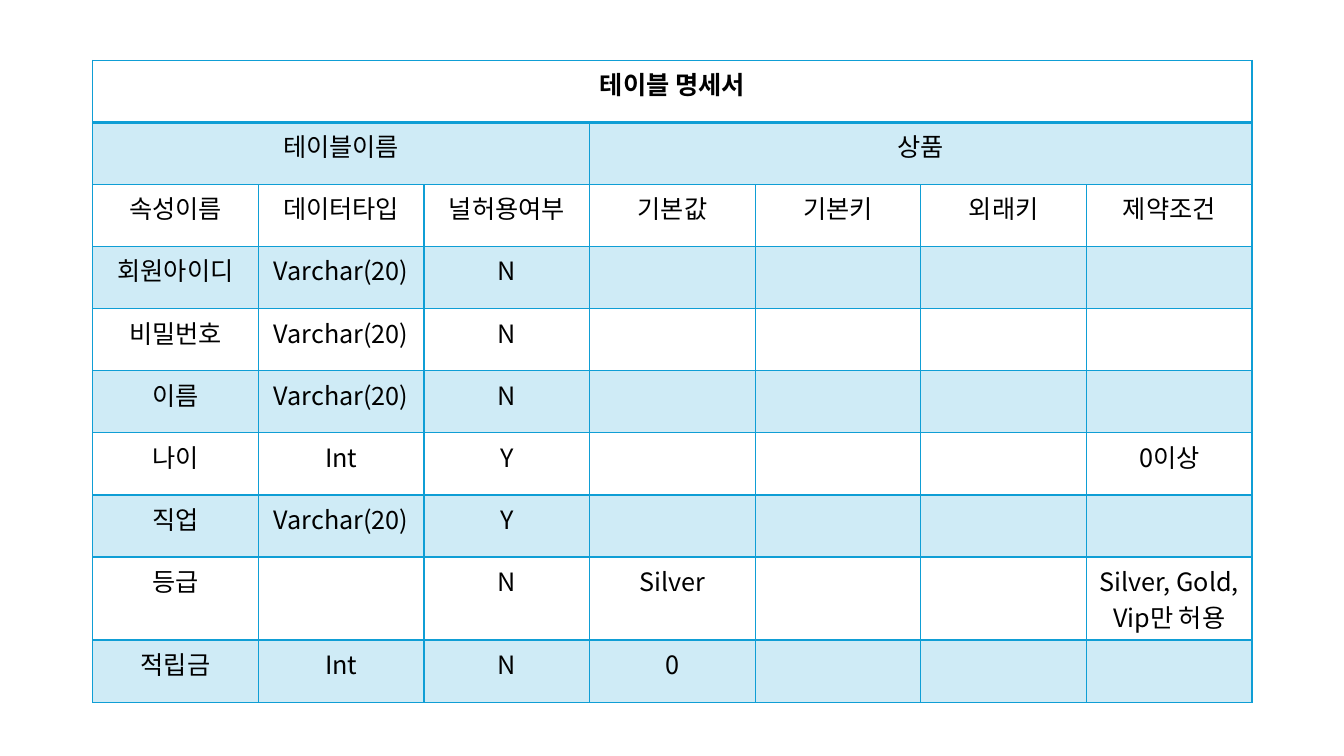
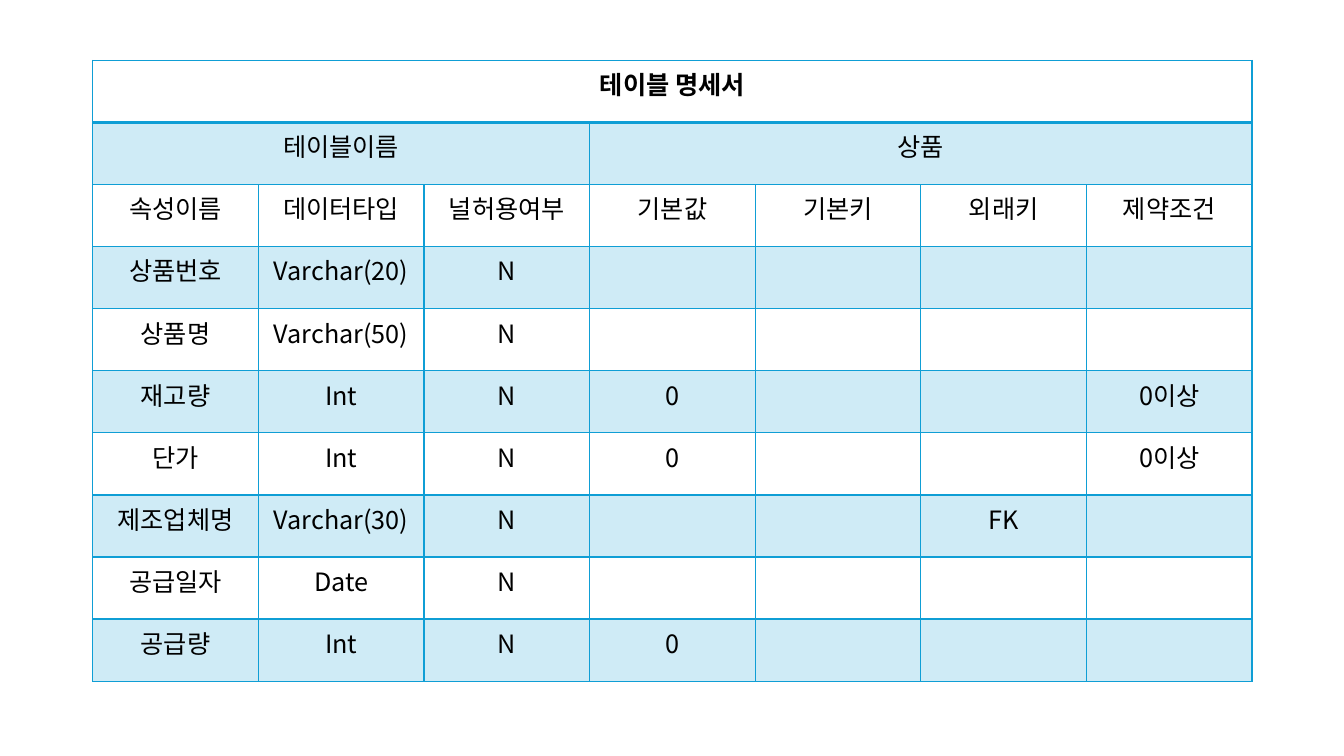
from dataclasses import dataclass

from lxml import etree
from pptx import Presentation
from pptx import util as u
from pptx.dml.color import RGBColor
from pptx.enum import text
from pptx.oxml import ns


@dataclass(frozen=True)
class Theme:
    font: str = "Noto Sans CJK KR"
    size: float = 18
    ink: str = "000000"
    blue: str = "0F9ED5"
    tint: int = 20  # percent opacity of the shaded rows
    thin: float = 1
    thick: float = 2


THEME = Theme()
WIDE, HIGH = u.Inches(13.33), u.Inches(7.5)
BOX = u.Inches(0.92), u.Inches(0.6), u.Inches(11.5), u.Inches(6.16)

TITLE = "테이블 명세서"
LABEL, OWNER = "테이블이름", "상품"
HEADS = ["속성이름", "데이터타입", "널허용여부", "기본값", "기본키", "외래키", "제약조건"]
SPLIT = 3  # columns under the table-name label

# Each row: name, type, null allowed, default, primary key, foreign key, rule
MEMBER = [
    ["회원아이디", "Varchar(20)", "N", "", "", "", ""],
    ["비밀번호", "Varchar(20)", "N", "", "", "", ""],
    ["이름", "Varchar(20)", "N", "", "", "", ""],
    ["나이", "Int", "Y", "", "", "", "0이상"],
    ["직업", "Varchar(20)", "Y", "", "", "", ""],
    ["등급", "", "N", "Silver", "", "", "Silver, Gold, Vip만 허용"],
    ["적립금", "Int", "N", "0", "", "", ""],
]
GOODS = [
    ["상품번호", "Varchar(20)", "N", "", "", "", ""],
    ["상품명", "Varchar(50)", "N", "", "", "", ""],
    ["재고량", "Int", "N", "0", "", "", "0이상"],
    ["단가", "Int", "N", "0", "", "", "0이상"],
    ["제조업체명", "Varchar(30)", "N", "", "", "FK", ""],
    ["공급일자", "Date", "N", "", "", "", ""],
    ["공급량", "Int", "N", "0", "", "", ""],
]


def sub(node, tag, **attrs):
    return etree.SubElement(node, ns.qn(tag), **attrs)


def set_edges(cell, row):
    """Rule all four sides, heavier between the title and the body."""
    props = cell._tc.get_or_add_tcPr()
    heavy = {(0, "B"), (1, "T")}
    for i, side in enumerate("LRTB"):
        width = THEME.thick if (row, side) in heavy else THEME.thin
        line = sub(props, f"a:ln{side}", w=str(u.Pt(width)))
        sub(sub(line, "a:solidFill"), "a:srgbClr", val=THEME.blue)
        props.insert(i, line)


def set_fill(cell, shade):
    if not shade:
        cell.fill.background()
        return
    cell.fill.solid()
    cell.fill.fore_color.rgb = RGBColor.from_string(THEME.blue)
    color = cell._tc.tcPr.find(".//" + ns.qn("a:srgbClr"))
    sub(color, "a:alpha", val=str(THEME.tint * 1000))


def set_text(cell, words, bold):
    cell.text = words
    para = cell.text_frame.paragraphs[0]
    para.alignment = text.PP_ALIGN.CENTER
    font = para.font
    font.name, font.size, font.bold = THEME.font, u.Pt(THEME.size), bold
    font.color.rgb = RGBColor.from_string(THEME.ink)
    # East Asian typeface for the Korean text
    base = para._p.pPr.find(ns.qn("a:defRPr"))
    sub(base, "a:ea", typeface=THEME.font)


def add_sheet(slide, box, body):
    """Place a table specification in the box."""
    cols = len(HEADS)
    name = [LABEL] + [""] * (SPLIT - 1) + [OWNER] + [""] * (cols - SPLIT - 1)
    rows = [[TITLE] + [""] * (cols - 1), name, HEADS] + body
    grid = slide.shapes.add_table(len(rows), cols, *box).table
    grid.first_row = grid.horz_banding = False

    # Cells, every second row shaded
    for r, row in enumerate(rows):
        for c, words in enumerate(row):
            cell = grid.cell(r, c)
            set_text(cell, words, bold=r == 0)
            set_fill(cell, shade=r % 2 == 1)
            set_edges(cell, r)

    # Title and table-name spans
    for r, first, last in [(0, 0, cols), (1, 0, SPLIT), (1, SPLIT, cols)]:
        grid.cell(r, first).merge(grid.cell(r, last - 1))


def main():
    deck = Presentation()
    deck.slide_width, deck.slide_height = WIDE, HIGH
    for body in (MEMBER, GOODS):
        add_sheet(deck.slides.add_slide(deck.slide_layouts[6]), BOX, body)
    deck.save("out.pptx")


if __name__ == "__main__":
    main()
